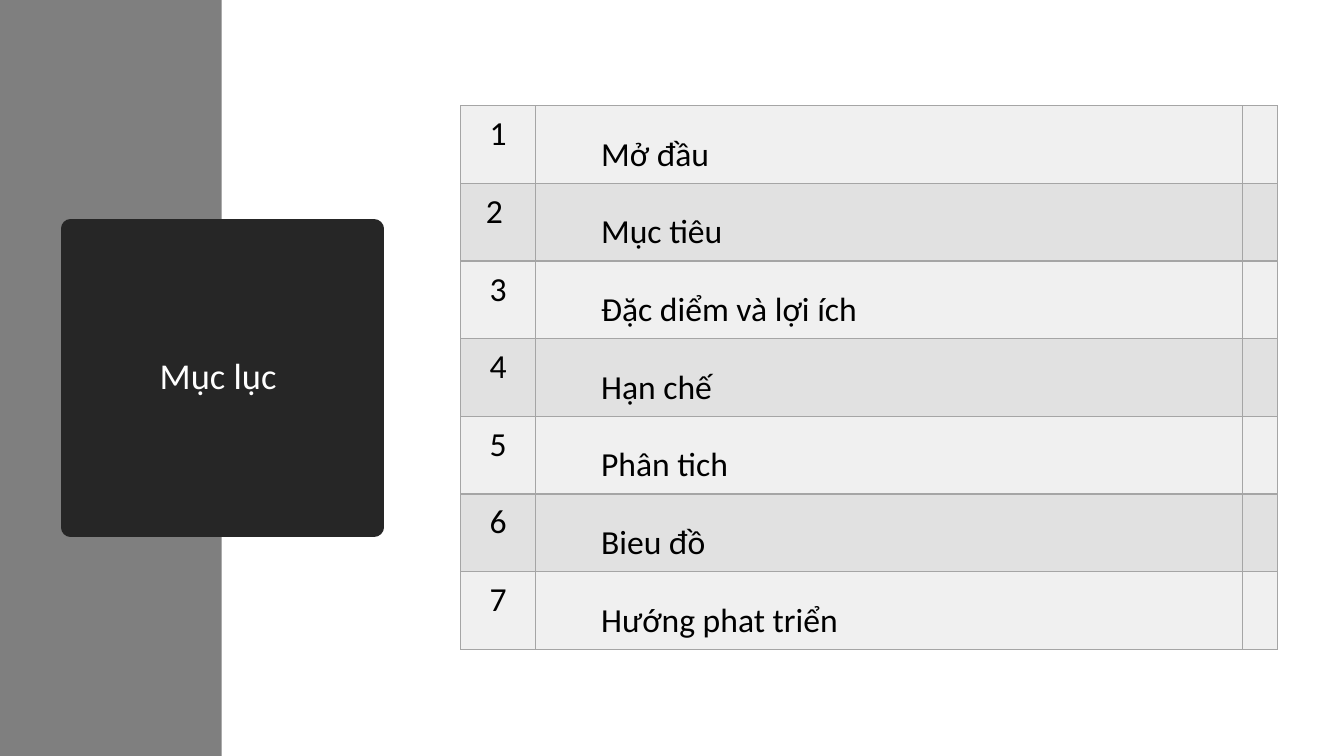
from lxml import etree
from pptx import Presentation
from pptx.dml.color import RGBColor
from pptx.enum.shapes import MSO_SHAPE
from pptx.enum.text import MSO_ANCHOR, PP_ALIGN
from pptx.oxml.ns import qn
from pptx.util import Inches, Pt

RECTANGLE = MSO_SHAPE.RECTANGLE
MIDDLE = MSO_ANCHOR.MIDDLE
LEFT, CENTER = PP_ALIGN.LEFT, PP_ALIGN.CENTER
TITLE_ONLY = 5

TOPICS = ["Mở đầu", "Mục tiêu", "Đặc diểm và lợi ích", "Hạn chế",
          "Phân tich", "Bieu đồ", "Hướng phat triển"]
# The trailing space shifts the centred 2 slightly to the left
NUMBERS = ["1", "2 ", "3", "4", "5", "6", "7"]


def color(hex_string):
    return RGBColor.from_string(hex_string)


class ContentsSlide:
    """Style and current slide; all lengths are percentages of the slide."""
    FONT = "Calibri"
    BAND, CARD, BORDER = "7F7F7F", "262626", "A5A5A5"
    WHITE, BLACK = "FFFFFF", "000000"
    ROW_FILLS = ["F0F0F0", "E1E1E1"]

    def __init__(self, prs):
        self.width, self.height = prs.slide_width, prs.slide_height
        self.slide = prs.slides.add_slide(prs.slide_layouts[TITLE_ONLY])
        self.paint(self.slide.background.fill, self.WHITE)

    def x(self, percent):
        return round(self.width * percent / 100)

    def y(self, percent):
        return round(self.height * percent / 100)

    def box(self, left, top, width, height):
        return self.x(left), self.y(top), self.x(width), self.y(height)

    def paint(self, fill, hex_string):
        fill.solid()
        fill.fore_color.rgb = color(hex_string)

    def set_text(self, paragraph, text, size, hex_string, align, spacing):
        paragraph.text = text
        paragraph.alignment = align
        paragraph.line_spacing = spacing
        paragraph.font.name = self.FONT
        paragraph.font.size = Pt(size)
        paragraph.font.color.rgb = color(hex_string)

    def band(self, *place):
        side = self.slide.shapes.add_shape(RECTANGLE, *self.box(*place))
        side.shadow.inherit = False
        self.paint(side.fill, self.BAND)
        side.line.fill.background()

    def title(self, text, *place):
        card = self.slide.shapes.title
        card.left, card.top, card.width, card.height = self.box(*place)
        self.paint(card.fill, self.CARD)
        card.line.color.rgb = color(self.CARD)
        card.line.width = Pt(13.75)
        card.text_frame.word_wrap = True
        card.text_frame.vertical_anchor = MIDDLE
        self.set_text(card.text_frame.paragraphs[0], text, 26, self.WHITE, CENTER, 0.9)
        # Bring the card in front of the band
        self.slide.shapes._spTree.append(card._element)

    def style_cell(self, cell, fill):
        properties = cell._tc.get_or_add_tcPr()
        for side in ("a:lnL", "a:lnR", "a:lnT", "a:lnB"):
            line = etree.SubElement(properties, qn(side), w=str(Pt(1)))
            solid = etree.SubElement(line, qn("a:solidFill"))
            etree.SubElement(solid, qn("a:srgbClr"), val=self.BORDER)
        self.paint(cell.fill, fill)
        cell.margin_left = cell.margin_right = Inches(0.15)
        cell.margin_top = cell.margin_bottom = Inches(0.08)

    def contents(self, numbers, topics, columns, left, top, height):
        place = self.box(left, top, sum(columns), height)
        table = self.slide.shapes.add_table(len(topics), len(columns), *place).table
        table.first_row = table.horz_banding = False
        for column, width in zip(table.columns, columns):
            column.width = self.x(width)
        for index, (number, topic) in enumerate(zip(numbers, topics)):
            cells = [table.cell(index, column) for column in range(len(columns))]
            for cell in cells:
                self.style_cell(cell, self.ROW_FILLS[index % 2])
            number_line, topic_line = (
                cell.text_frame.paragraphs[0] for cell in cells[:2])
            self.set_text(number_line, number, 24, self.BLACK, CENTER, 1.0)
            self.set_text(topic_line, topic, 24, self.BLACK, LEFT, 1.5)
            topic_line.level = 1
            indent = topic_line._p.get_or_add_pPr()
            indent.set("marL", str(Inches(0.5)))
            indent.set("indent", "0")


def main():
    prs = Presentation()
    prs.slide_width, prs.slide_height = Inches(13.33), Inches(7.5)
    page = ContentsSlide(prs)

    # Side band and title card
    page.band(0, 0, 16.5, 100)
    page.title("Mục lục ", 5.25, 30.27, 22.58, 39.47)

    # Numbered table of contents with a narrow empty last column
    page.contents(NUMBERS, TOPICS, [5.57, 52.63, 2.57], left=34.28, top=14, height=71.87)

    prs.save("out.pptx")


if __name__ == "__main__":
    main()
